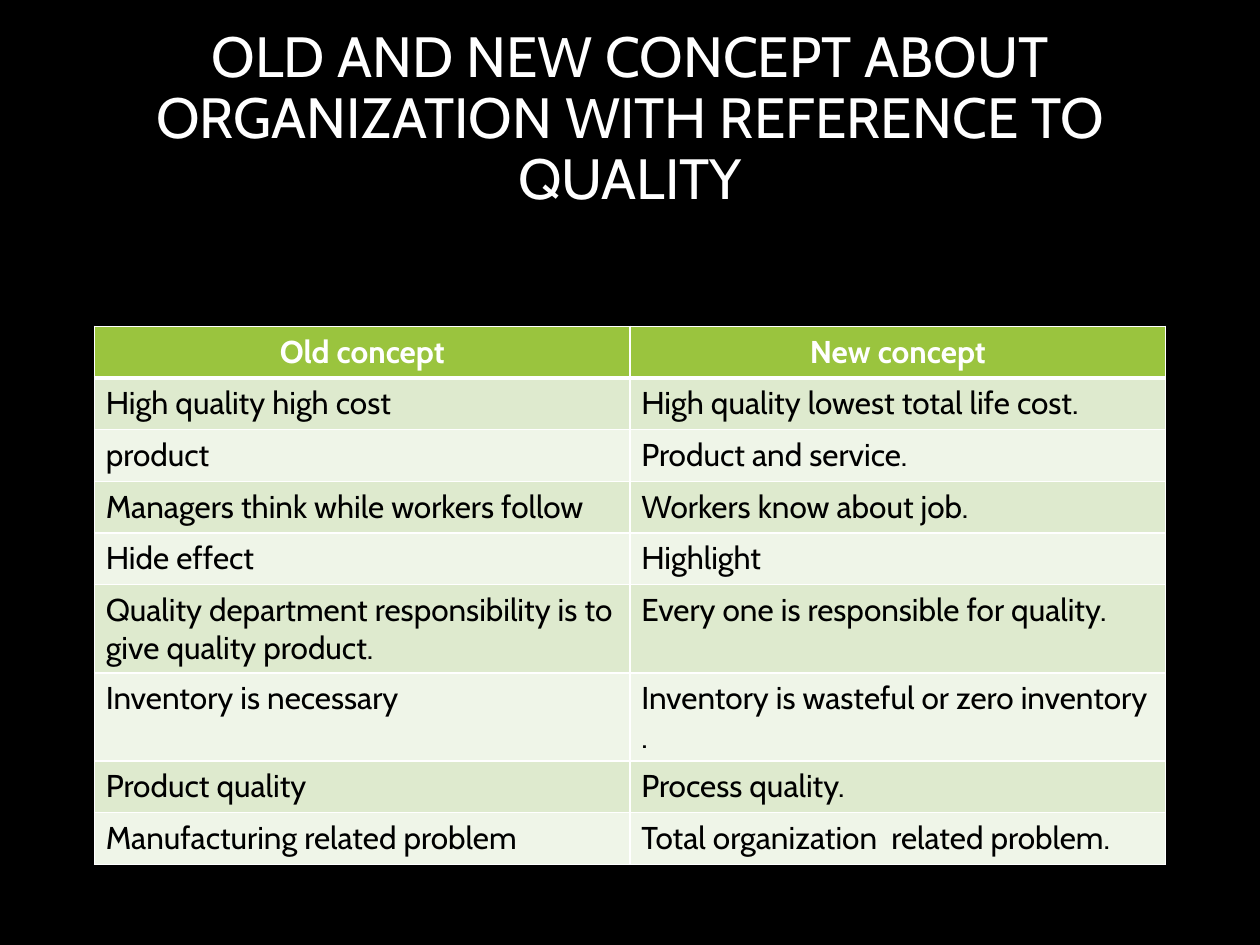
from lxml.etree import SubElement
from pptx import Presentation
from pptx.dml.color import RGBColor
from pptx.enum.text import MSO_ANCHOR, PP_ALIGN
from pptx.oxml.ns import qn
from pptx.util import Inches, Pt

TITLE = "OLD AND NEW CONCEPT ABOUT ORGANIZATION WITH REFERENCE TO QUALITY"
CONCEPTS = [
    ("Old concept", "New concept"),
    ("High quality high cost", "High quality lowest total life cost."),
    ("product", "Product and service."),
    ("Managers think while workers follow", "Workers know about job."),
    ("Hide effect", "Highlight"),
    ("Quality department responsibility is to give quality product.",
     "Every one is responsible for quality."),
    ("Inventory is necessary", "Inventory is wasteful or zero inventory ."),
    ("Product quality", "Process quality."),
    ("Manufacturing related problem", "Total organization  related problem."),
]


def color(value):
    """Turn a hex string into a colour."""
    return RGBColor.from_string(value)


class SlideBuilder:
    """Hold the style and the current slide."""

    font = "Cabin"
    white, black = "FFFFFF", "000000"
    header_fill = "9AC43E"
    band_fills = ("EFF5E8", "DEEACE")

    def __init__(self, slide):
        """Start on a slide with a black background."""
        self.slide = slide
        fill = slide.background.fill
        fill.solid()
        fill.fore_color.rgb = color(self.black)

    def style(self, paragraph, size, font_color, bold=False, align=PP_ALIGN.LEFT):
        """Set the font and alignment of a paragraph."""
        paragraph.alignment = align
        paragraph.font.name = self.font
        paragraph.font.size = Pt(size)
        paragraph.font.bold = bold
        paragraph.font.color.rgb = color(font_color)

    def title(self, text, left, top, width, height):
        """Add the centred slide title."""
        box = self.slide.shapes.add_textbox(
            Inches(left), Inches(top), Inches(width), Inches(height))
        frame = box.text_frame
        frame.word_wrap = True
        frame.vertical_anchor = MSO_ANCHOR.MIDDLE
        paragraph = frame.paragraphs[0]
        paragraph.text = text
        paragraph.line_spacing = 0.9
        self.style(paragraph, 32.4, self.white, align=PP_ALIGN.CENTER)

    def border(self, cell, side, width):
        """Add a solid white border to one side of a cell."""
        line = SubElement(cell._tc.get_or_add_tcPr(), qn(f"a:ln{side}"), w=str(Pt(width)))
        fill = SubElement(line, qn("a:solidFill"))
        SubElement(fill, qn("a:srgbClr"), val=self.white)

    def cell(self, cell, text, row):
        """Fill in one table cell according to its row."""
        header = row == 0
        cell.margin_left = cell.margin_right = Inches(0.09)
        cell.margin_top = cell.margin_bottom = Inches(0.05)
        for side in "LRTB":
            heavy = (row, side) in ((0, "B"), (1, "T"))
            self.border(cell, side, 3 if heavy else 1)
        cell.fill.solid()
        cell.fill.fore_color.rgb = color(self.header_fill if header else self.band_fills[row % 2])
        cell.text = text
        self.style(cell.text_frame.paragraphs[0], 18,
                   self.white if header else self.black, header,
                   PP_ALIGN.CENTER if header else PP_ALIGN.LEFT)

    def table(self, rows, left, top, width, row_height):
        """Add a banded table with equal columns."""
        frame = self.slide.shapes.add_table(
            len(rows), len(rows[0]), Inches(left), Inches(top),
            Inches(width), Inches(row_height * len(rows)))
        for row, texts in enumerate(rows):
            for column, text in enumerate(texts):
                self.cell(frame.table.cell(row, column), text, row)


def main():
    """Build and save the presentation."""
    presentation = Presentation()
    presentation.slide_width = Inches(10)
    presentation.slide_height = Inches(7.5)
    slide = presentation.slides.add_slide(presentation.slide_layouts[6])
    builder = SlideBuilder(slide)
    builder.title(TITLE, 0.5, 0.33, 9, 1.25)
    builder.table(CONCEPTS, 0.75, 2.59, 8.5, 0.41)
    presentation.save("out.pptx")


if __name__ == "__main__":
    main()
